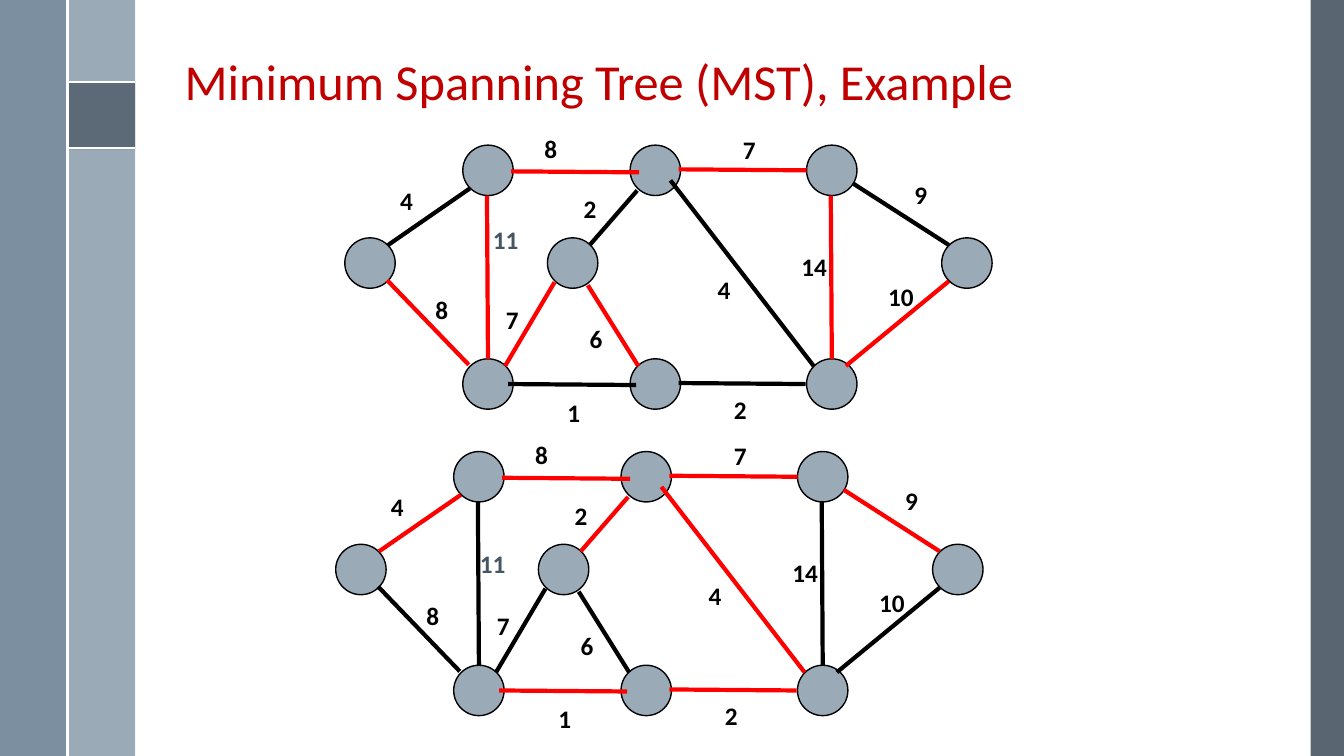
"""Build a slide comparing a spanning tree with the minimum spanning tree of one graph."""
from pptx import Presentation
from pptx.dml.color import RGBColor
from pptx.enum.shapes import MSO_CONNECTOR, MSO_SHAPE
from pptx.enum.text import MSO_ANCHOR, MSO_AUTO_SIZE, PP_ALIGN
from pptx.oxml.ns import qn
from pptx.util import Inches, Pt
from lxml.etree import SubElement

TITLE = "Minimum Spanning Tree (MST), Example"
RED, BLACK, WHITE, GRAY, SLATE = "FF0000", "000000", "FFFFFF", "9BAAB7", "475562"
NODE_SIZE = 0.5
NODES = [(5.43, 2.36), (3.42, 2.36), (9.34, 2.36), (8, 3.56), (6.25, 3.56),
         (4.59, 3.56), (8, 1.44), (6.25, 1.44), (4.59, 1.44)]

# Weight, label corner, start, end, and the graphs (0 upper, 1 lower) whose tree holds the edge
EDGES = [
    ("8", (4.22, 2.87), (3.84, 2.78), (4.65, 3.62), {0}),
    ("4", (7.02, 2.67), (6.65, 1.79), (8.07, 3.63), {1}),
    ("7", (7.27, 1.28), (6.73, 1.68), (8, 1.69), {0, 1}),
    ("8", (5.3, 1.27), (5.07, 1.7), (6.34, 1.71), {0, 1}),
    ("1", (5.53, 3.89), (5.04, 3.81), (6.31, 3.82), {1}),
    ("2", (7.18, 3.86), (6.73, 3.8), (7.99, 3.81), {1}),
    ("9", (8.97, 1.73), (8.46, 1.82), (9.41, 2.43), {1}),
    ("4", (3.87, 1.79), (3.85, 2.43), (4.66, 1.87), {1}),
    ("10", (8.71, 2.74), (8.39, 3.63), (9.41, 2.79), {0}),
    ("11", None, (4.83, 1.94), (4.84, 3.56), {0}),
    ("14", (7.85, 2.44), (8.24, 1.94), (8.25, 3.56), {0}),
    ("6", (5.75, 3.16), (5.83, 2.83), (6.33, 3.63), {0}),
    ("7", (4.92, 2.97), (5.5, 2.8), (5.01, 3.63), {0}),
    ("2", (5.69, 1.87), (6.32, 1.89), (5.85, 2.43), {1}),
]
GRAPH_OFFSETS = [(0, 0), (-0.09, 3.04)]
ELEVEN_LABELS = [(4.79, 2.18), (4.66, 5.39)]

PANELS = [((13, 0, 0.33, 7.5), SLATE, 90), ((0.67, 0, 0.67, 7.5), GRAY, 100),
          ((0, 0, 0.67, 7.5), "6A8093", 88), ((0.67, 0.81, 0.67, 0.67), SLATE, 75)]
RULES = [((0.67, 0.81), (1.34, 0.81)), ((0.67, 1.47), (1.34, 1.47)),
         ((0.67, 0), (0.67, 7.5))]
PI_OUTLINE = [
    (1.18, 0.98), (0.9, 0.98), (0.86, 1), (0.83, 1.04), (0.84, 1.05), (0.85, 1.05),
    (0.87, 1.02), (0.9, 1.01), (0.94, 1.01), (0.93, 1.14), (0.91, 1.22), (0.88, 1.27),
    (0.88, 1.29), (0.9, 1.29), (0.93, 1.23), (0.96, 1.13), (0.97, 1.01), (1.06, 1.01),
    (1.05, 1.22), (1.05, 1.26), (1.07, 1.29), (1.1, 1.3), (1.12, 1.3), (1.16, 1.27),
    (1.19, 1.22), (1.18, 1.21), (1.16, 1.22), (1.14, 1.26), (1.11, 1.28), (1.08, 1.27),
    (1.07, 1.22), (1.09, 1.01), (1.18, 1.01), (1.19, 1), (1.18, 0.98)]


def color(value):
    return RGBColor.from_string(value)


def paint(shape, fill, opacity=100, outline=None):
    shape.shadow.inherit = False
    shape.fill.solid()
    shape.fill.fore_color.rgb = color(fill)
    if opacity < 100:
        tint = shape.fill._xPr.find(qn("a:solidFill"))[0]
        SubElement(tint, qn("a:alpha"), val=str(opacity * 1000))
    if outline:
        shape.line.color.rgb = color(outline)
        shape.line.width = Pt(1)
    else:
        shape.line.fill.background()


def add_line(shapes, start, end, stroke, width):
    line = shapes.add_connector(MSO_CONNECTOR.STRAIGHT, *map(Inches, start + end))
    line.line.color.rgb = color(stroke)
    line.line.width = Pt(width)
    SubElement(line._element.spPr, qn("a:effectLst"))


def write(frame, text, size=18, ink=BLACK, bold=True, spacing=None, anchor=MSO_ANCHOR.TOP):
    frame.vertical_anchor = anchor
    para = frame.paragraphs[0]
    para.alignment = PP_ALIGN.LEFT
    para.line_spacing = spacing
    span = para.add_run()
    span.text = text
    span.font.name = "Calibri"
    span.font.size = Pt(size)
    span.font.bold = bold
    span.font.color.rgb = color(ink)


def add_label(shapes, text, corner, ink=BLACK):
    width = 0.34 if len(text) == 1 else 0.48
    box = shapes.add_textbox(*map(Inches, corner + (width, 0.4)))
    box.text_frame.word_wrap = False
    write(box.text_frame, text, ink=ink)


def add_graph(page, index):
    across, down = GRAPH_OFFSETS[index]

    def shift(point):
        return point[0] + across, point[1] + down

    group = page.shapes.add_group_shape().shapes
    for node in NODES:
        circle = group.add_shape(MSO_SHAPE.OVAL, *map(Inches, shift(node) + (NODE_SIZE,) * 2))
        paint(circle, GRAY, outline=BLACK)
    for weight, corner, start, end, trees in EDGES:
        add_line(group, shift(start), shift(end), RED if index in trees else BLACK, 3)
        if corner:
            add_label(group, weight, shift(corner))
    add_label(page.shapes, "11", ELEVEN_LABELS[index], ink="465562")


def add_frame(page):
    for bounds, fill, opacity in PANELS:
        panel = page.shapes.add_shape(MSO_SHAPE.RECTANGLE, *map(Inches, bounds))
        paint(panel, fill, opacity)
    for start, end in RULES:
        add_line(page.shapes, start, end, WHITE, 1.5)
    builder = page.shapes.build_freeform(*PI_OUTLINE[0], scale=Inches(1))
    builder.add_line_segments(PI_OUTLINE[1:], close=True)
    paint(builder.convert_to_shape(), WHITE)


def add_title(page):
    title = page.shapes.title
    title.left, title.top, title.width, title.height = map(Inches, (1.73, -0.2, 10.7, 1.36))
    title.text_frame.auto_size = MSO_AUTO_SIZE.NONE
    write(title.text_frame, TITLE, size=36, ink="C00000", bold=False, spacing=0.9,
          anchor=MSO_ANCHOR.BOTTOM)


def main():
    deck = Presentation()
    deck.slide_width, deck.slide_height = Inches(13.33), Inches(7.5)
    page = deck.slides.add_slide(deck.slide_layouts[5])
    add_frame(page)
    add_title(page)
    for index in range(len(GRAPH_OFFSETS)):
        add_graph(page, index)
    deck.save("out.pptx")


if __name__ == "__main__":
    main()
